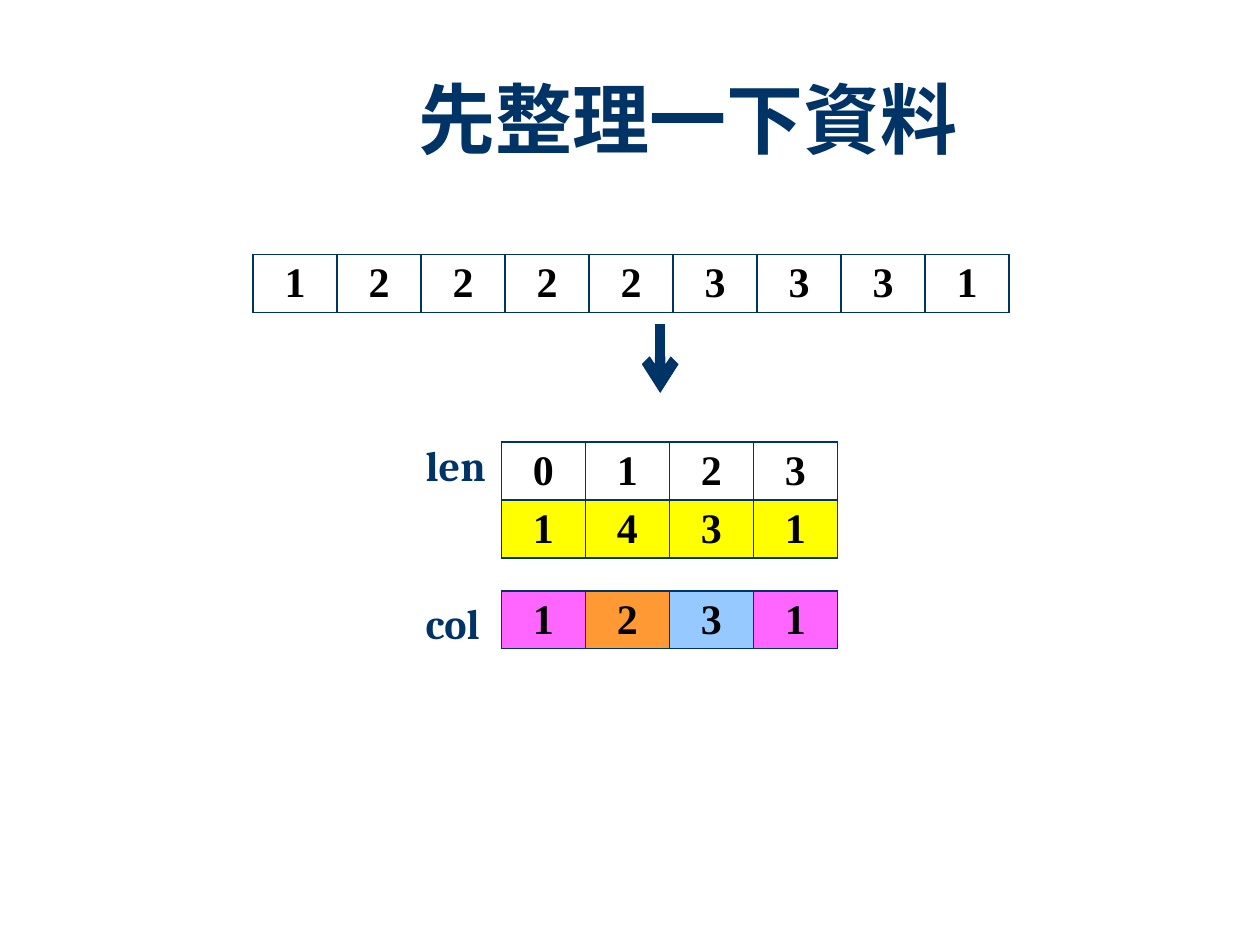
"""Build a slide that compresses a colour sequence into run lengths and colours."""
from lxml import etree
from pptx import Presentation
from pptx.dml.color import RGBColor
from pptx.enum.shapes import MSO_CONNECTOR
from pptx.enum.text import MSO_ANCHOR, PP_ALIGN
from pptx.oxml.ns import qn
from pptx.util import Inches, Pt

STRAIGHT = MSO_CONNECTOR.STRAIGHT
MIDDLE, TOP = MSO_ANCHOR.MIDDLE, MSO_ANCHOR.TOP
CENTER, LEFT = PP_ALIGN.CENTER, PP_ALIGN.LEFT
COLORS = {"navy": "003366", "black": "000000", "white": "FFFFFF", "yellow": "FFFF00",
          "pink": "FF66FF", "orange": "FF9933", "blue": "95C9FF"}
COLUMN, ROW = Inches(2 / 3), Inches(0.41)
MARGIN = Inches(0.045)
RESULT_LEFT, LABEL_LEFT = Inches(3.98), Inches(3.28)
ARROW_X = Inches(5.24)


def write_text(frame, text, font="Times New Roman", size=24, color="black", align=CENTER, spacing=1.0):
    paragraph = frame.paragraphs[0]
    paragraph.alignment = align
    paragraph.line_spacing = spacing
    run = paragraph.add_run()
    run.text = text
    run.font.name = font
    run.font.size = Pt(size)
    run.font.bold = True
    run.font.color.rgb = RGBColor.from_string(COLORS[color])
    etree.SubElement(run.font._element, qn("a:ea"), typeface=font)


def add_border(cell):
    properties = cell._tc.get_or_add_tcPr()
    for side in ("lnL", "lnR", "lnT", "lnB"):
        line = etree.SubElement(properties, qn(f"a:{side}"), w=str(Pt(1)))
        fill = etree.SubElement(line, qn("a:solidFill"))
        etree.SubElement(fill, qn("a:srgbClr"), val=COLORS["navy"])


presentation = Presentation()
presentation.slide_width, presentation.slide_height = Inches(10), Inches(7.5)
slide = presentation.slides.add_slide(presentation.slide_layouts[6])

tables = [
    (Inches(2.01), Inches(2.02), ["122223331"], [["white"] * 9]),
    (RESULT_LEFT, Inches(3.51), ["0123", "1431"], [["white"] * 4, ["yellow"] * 4]),
    (RESULT_LEFT, Inches(4.69), ["1231"], [["pink", "orange", "blue", "pink"]]),
]
for left, top, rows, fills in tables:
    count = len(rows[0])
    table = slide.shapes.add_table(len(rows), count, left, top, COLUMN * count, ROW * len(rows)).table
    table.first_row = table.horz_banding = False
    for row_index, (values, row_fills) in enumerate(zip(rows, fills)):
        for column_index, (value, color) in enumerate(zip(values, row_fills)):
            cell = table.cell(row_index, column_index)
            cell.margin_top = cell.margin_bottom = MARGIN
            cell.vertical_anchor = MIDDLE
            add_border(cell)
            cell.fill.solid()
            cell.fill.fore_color.rgb = RGBColor.from_string(COLORS[color])
            write_text(cell.text_frame, value)

title = slide.shapes.add_textbox(Inches(1.46), Inches(0.52), Inches(8), Inches(0.92))
title.text_frame.word_wrap = True
title.text_frame.vertical_anchor = MIDDLE
write_text(title.text_frame, "先整理一下資料", font="Noto Sans CJK SC", size=44, color="navy", spacing=0.9)

for name, top, width in (("len", 3.44, 0.69), ("col", 4.69, 0.65)):
    label = slide.shapes.add_textbox(LABEL_LEFT, Inches(top), Inches(width), Inches(0.5))
    label.text_frame.word_wrap = False
    label.text_frame.vertical_anchor = TOP
    write_text(label.text_frame, name, font="Cambria", color="navy", align=LEFT)

arrow = slide.shapes.add_connector(STRAIGHT, ARROW_X, Inches(2.57), ARROW_X, Inches(3.12))
arrow.line.color.rgb = RGBColor.from_string(COLORS["navy"])
arrow.line.width = Pt(6)
etree.SubElement(arrow.line._get_or_add_ln(), qn("a:tailEnd"), type="arrow")
etree.SubElement(arrow._element.spPr, qn("a:effectLst"))

presentation.save("out.pptx")
